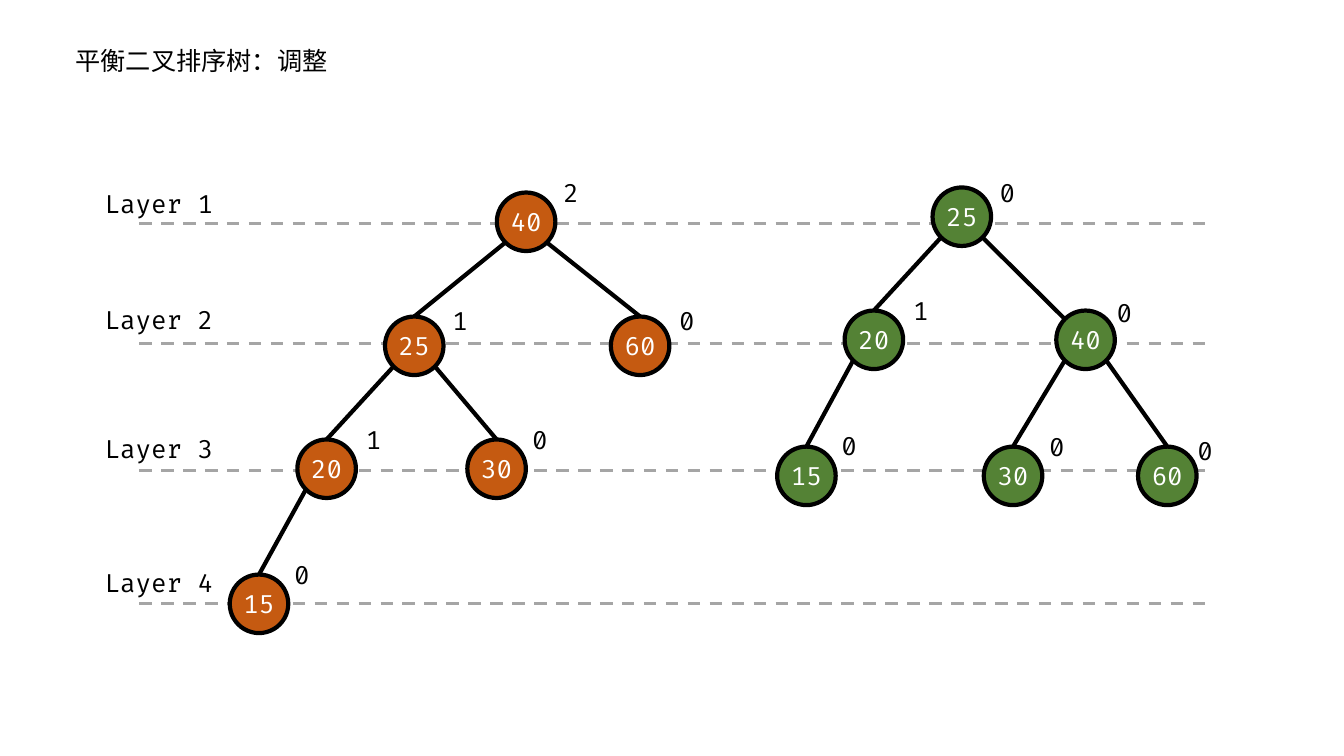
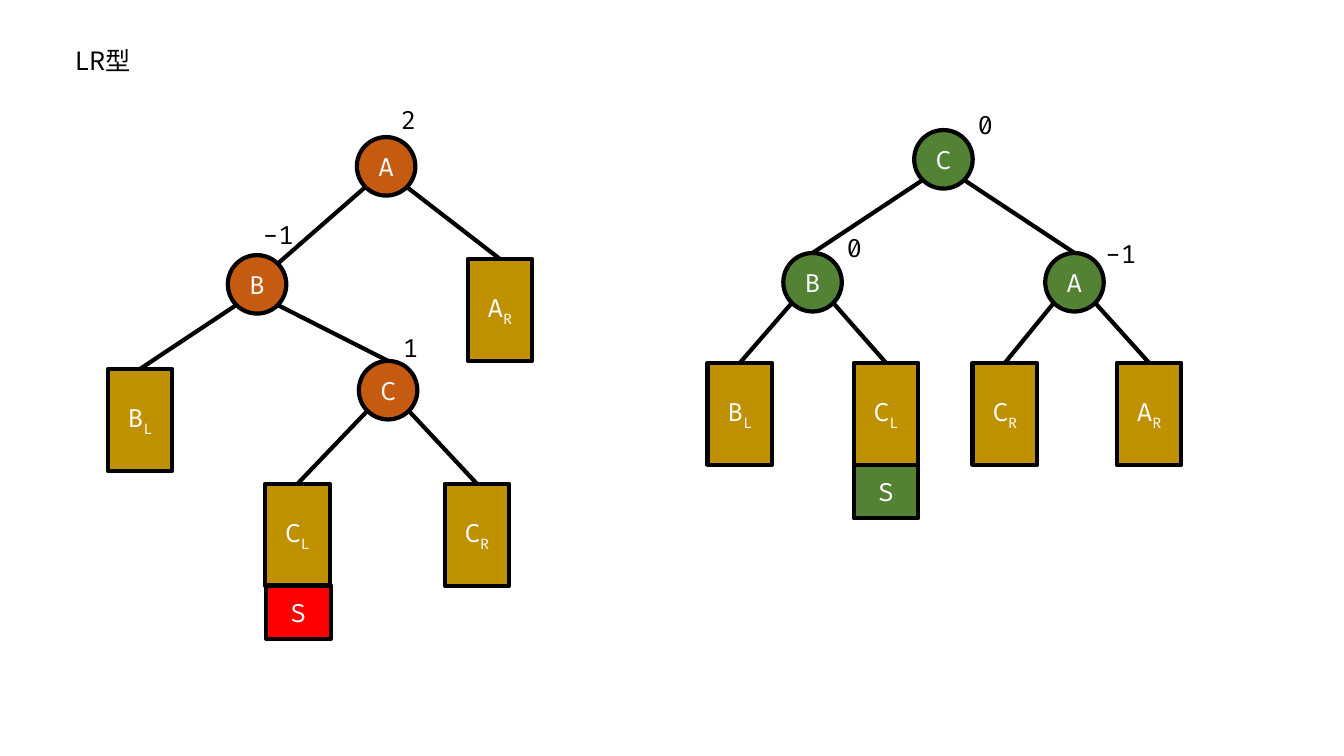
"""Builds two slides on rebalancing binary search trees."""
from dataclasses import dataclass

from lxml.etree import SubElement
from pptx import Presentation
from pptx.dml.color import RGBColor
from pptx.enum.dml import MSO_LINE
from pptx.enum.shapes import MSO_CONNECTOR, MSO_SHAPE
from pptx.enum.text import MSO_ANCHOR, MSO_AUTO_SIZE, PP_ALIGN
from pptx.oxml.ns import qn
from pptx.util import Pt


@dataclass(frozen=True)
class Theme:
    """Colours, fonts and sizes shared by the slides."""
    ink: str = "000000"
    light: str = "FFFFFF"
    guide: str = "A5A5A5"
    before: str = "C55A11"
    after: str = "548235"
    subtree: str = "BF9000"
    inserted: str = "FF0000"
    title_font: str = "Noto Sans CJK SC"
    code_font: str = "Fira Code"
    size: float = 18
    outline: float = 3
    guide_width: float = 2.25
    line_height: float = 28.8
    diameter: float = 41.8
    block_width: float = 46.1
    block_height: float = 72.8
    leaf_height: float = 38.2


@dataclass(frozen=True)
class Node:
    """A tree node: centre x, top y, label, and its balance factor if round."""
    x: float
    top: float
    label: str
    balance: str = ""
    balance_at: tuple = ()


def write(frame, text, *, font, size, color, align=PP_ALIGN.LEFT,
          anchor=MSO_ANCHOR.TOP, wrap=True):
    """Fill a text frame; what follows an underscore becomes a subscript."""
    frame.word_wrap = wrap
    frame.auto_size = MSO_AUTO_SIZE.NONE
    frame.vertical_anchor = anchor
    paragraph = frame.paragraphs[0]
    paragraph.alignment = align
    for level, part in enumerate(text.split("_")):
        run = paragraph.add_run()
        run.text = part
        run.font.name = font
        run.font.size = Pt(size)
        run.font.color.rgb = RGBColor.from_string(color)
        properties = run._r.get_or_add_rPr()
        SubElement(properties, qn("a:ea")).set("typeface", font)
        if level:
            properties.set("baseline", "-25000")


class Deck:
    """Holds the theme and the current slide, and draws its elements."""

    def __init__(self, theme):
        """Start an empty widescreen presentation."""
        self.theme = theme
        self.presentation = Presentation()
        self.presentation.slide_width = Pt(960)
        self.presentation.slide_height = Pt(540)

    def slide(self, heading):
        """Add a slide with its title."""
        layout = self.presentation.slide_layouts[5]
        self.canvas = self.presentation.slides.add_slide(layout).shapes
        title = self.canvas.title
        title.left, title.top = Pt(46.8), Pt(28.8)
        title.width, title.height = Pt(221), Pt(self.theme.line_height)
        write(title.text_frame, heading, font=self.theme.title_font,
              size=self.theme.size, color=self.theme.ink)

    def label(self, text, left, top, width, canvas=None):
        """Add a line of dark text."""
        box = (canvas or self.canvas).add_textbox(
            Pt(left), Pt(top), Pt(width), Pt(self.theme.line_height))
        write(box.text_frame, text, font=self.theme.code_font,
              size=self.theme.size, color=self.theme.ink)

    def line(self, start, end, color, width, dash=None, canvas=None):
        """Add a straight line without shadow."""
        line = (canvas or self.canvas).add_connector(
            MSO_CONNECTOR.STRAIGHT, *map(Pt, (*start, *end)))
        line.line.color.rgb = RGBColor.from_string(color)
        line.line.width = Pt(width)
        if dash:
            line.line.dash_style = dash
        SubElement(line._element.spPr, qn("a:effectLst"))

    def shape(self, canvas, kind, node, width, height, fill):
        """Add an outlined shape with centred light text."""
        shape = canvas.add_shape(kind, Pt(node.x - width / 2), Pt(node.top),
                                 Pt(width), Pt(height))
        shape.shadow.inherit = False
        shape.fill.solid()
        shape.fill.fore_color.rgb = RGBColor.from_string(fill)
        shape.line.color.rgb = RGBColor.from_string(self.theme.ink)
        shape.line.width = Pt(self.theme.outline)
        write(shape.text_frame, node.label, font=self.theme.code_font,
              size=self.theme.size, color=self.theme.light,
              align=PP_ALIGN.CENTER, anchor=MSO_ANCHOR.MIDDLE,
              wrap=kind == MSO_SHAPE.RECTANGLE)

    def edge(self, canvas, parent, child, to_corner):
        """Join a parent's lower corner to the top or upper corner of a child."""
        theme = self.theme
        side = 1 if child.x > parent.x else -1
        corner = theme.diameter * 0.354
        inset = theme.diameter / 2 - corner
        start = (parent.x + side * corner, parent.top + theme.diameter - inset)
        end = ((child.x - side * corner, child.top + inset) if to_corner
               else (child.x, child.top))
        self.line(start, end, theme.ink, theme.outline, canvas=canvas)

    def tree(self, nodes, edges, fill, corner_edge="", leaf=None, leaf_fill=None):
        """Add a grouped tree; edges are pairs of labels such as "A B"."""
        theme = self.theme
        canvas = self.canvas.add_group_shape().shapes
        by_label = {node.label: node for node in nodes}
        for pair in edges:
            parent, child = pair.split()
            self.edge(canvas, by_label[parent], by_label[child], pair == corner_edge)
        for node in nodes:
            if node.balance:
                self.shape(canvas, MSO_SHAPE.OVAL, node,
                           theme.diameter, theme.diameter, fill)
                self.label(node.balance, *node.balance_at, 42, canvas)
            else:
                self.shape(canvas, MSO_SHAPE.RECTANGLE, node,
                           theme.block_width, theme.block_height, theme.subtree)
        if leaf:
            self.shape(canvas, MSO_SHAPE.RECTANGLE, leaf,
                       theme.block_width, theme.leaf_height, leaf_fill)


def adjustment_slide(deck):
    """Show a numeric tree before and after adjustment, by layer."""
    theme = deck.theme
    deck.slide("平衡二叉排序树：调整")
    layers = [(131, 159.8), (213.8, 245.5), (306, 336.2), (401.8, 431.3)]
    for number, (label_top, y) in enumerate(layers, 1):
        deck.line((99.4, y), (864, y), theme.guide, theme.guide_width, MSO_LINE.DASH)
        deck.label(f"Layer {number}", 67.7, label_top, 120)
    unbalanced = [
        Node(375.8, 137.5, "40", "2", (395.3, 123.1)),
        Node(295.9, 226.1, "25", "1", (316.1, 214.6)),
        Node(457.2, 226.1, "60", "0", (478.1, 214.6)),
        Node(233.3, 313.9, "20", "1", (254.2, 299.5)),
        Node(354.7, 313.9, "30", "0", (373, 299.5)),
        Node(185, 410.4, "15", "0", (203, 396)),
    ]
    deck.tree(unbalanced, ["40 25", "40 60", "25 20", "25 30", "20 15"], theme.before)
    balanced = [
        Node(687, 133.9, "25", "0", (707, 123.1)),
        Node(624.2, 221.8, "20", "1", (645.1, 207.4)),
        Node(775.4, 221.8, "40", "0", (790.6, 208.8)),
        Node(576, 319, "15", "0", (594, 303.8)),
        Node(723.6, 319, "30", "0", (742.3, 304.6)),
        Node(833.8, 319, "60", "0", (848.2, 307.4)),
    ]
    deck.tree(balanced, ["25 20", "25 40", "20 15", "40 30", "40 60"],
              theme.after, corner_edge="25 40")


def lr_slide(deck):
    """Show the LR rotation of nodes A, B and C with their subtrees."""
    theme = deck.theme
    deck.slide("LR型")
    unbalanced = [
        Node(275.8, 97.9, "A", "2", (279.4, 71.3)),
        Node(183.6, 182.2, "B", "-1", (180.7, 153.4)),
        Node(277.2, 257.8, "C", "1", (280.8, 234)),
        Node(357.1, 185, "A_R"),
        Node(100.1, 263.5, "B_L"),
        Node(212.5, 345.6, "C_L"),
        Node(340.7, 345.6, "C_R"),
    ]
    deck.tree(unbalanced, ["A B", "A A_R", "B B_L", "B C", "C C_L", "C C_R"],
              theme.before, corner_edge="A B",
              leaf=Node(213.2, 418.3, "S"), leaf_fill=theme.inserted)
    subtree_top = 259.2
    balanced = [
        Node(673.9, 92.9, "C", "0", (691.2, 74.9)),
        Node(580.4, 180.7, "B", "0", (597.6, 162.7)),
        Node(767.5, 180.7, "A", "-1", (782.6, 167)),
        Node(528.5, subtree_top, "B_L"),
        Node(632.9, subtree_top, "C_L"),
        Node(717.8, subtree_top, "C_R"),
        Node(820.8, subtree_top, "A_R"),
    ]
    deck.tree(balanced, ["C B", "C A", "B B_L", "B C_L", "A C_R", "A A_R"],
              theme.after, leaf_fill=theme.after,
              leaf=Node(632.9, subtree_top + theme.block_height, "S"))


deck = Deck(Theme())
adjustment_slide(deck)
lr_slide(deck)
deck.presentation.save("out.pptx")
